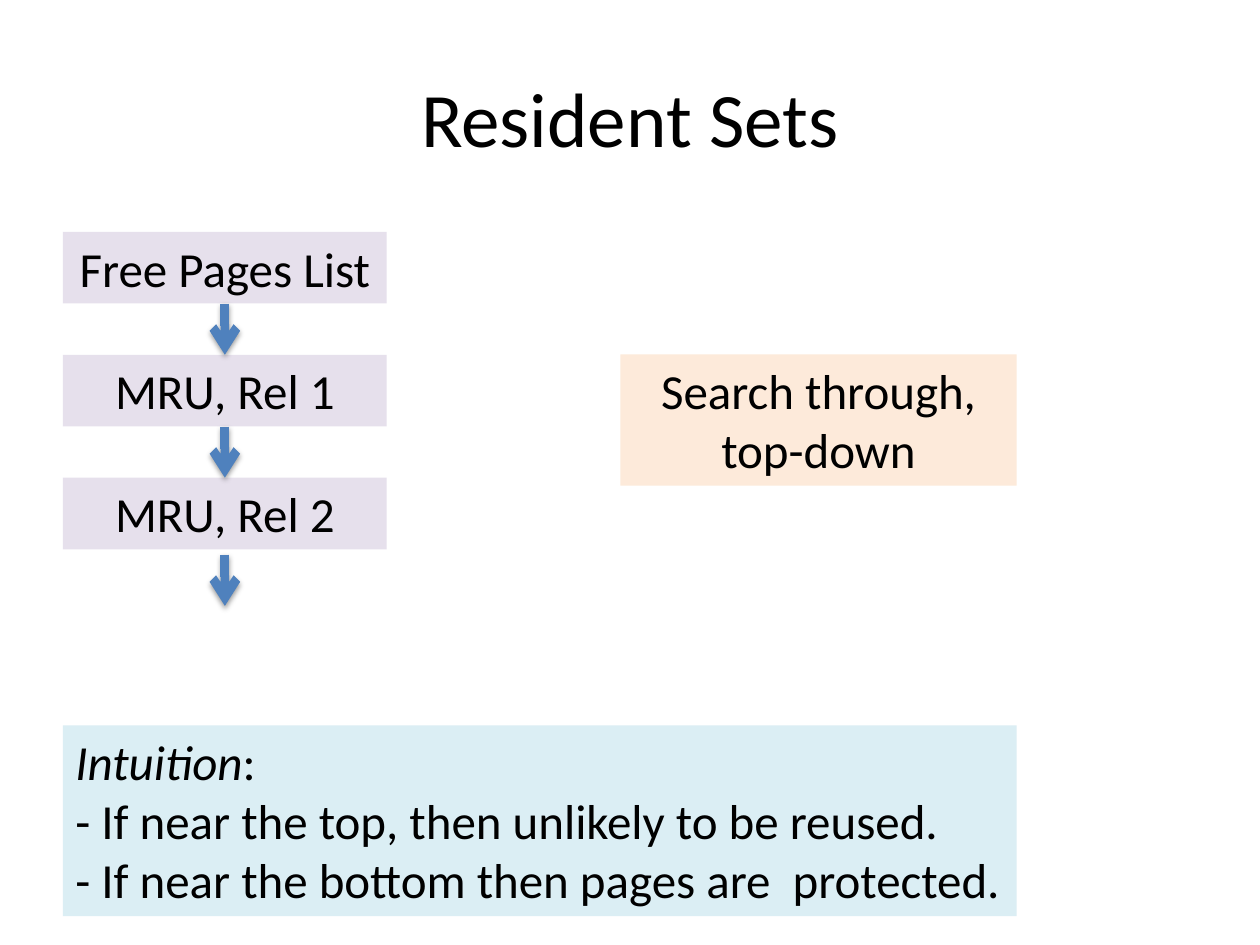
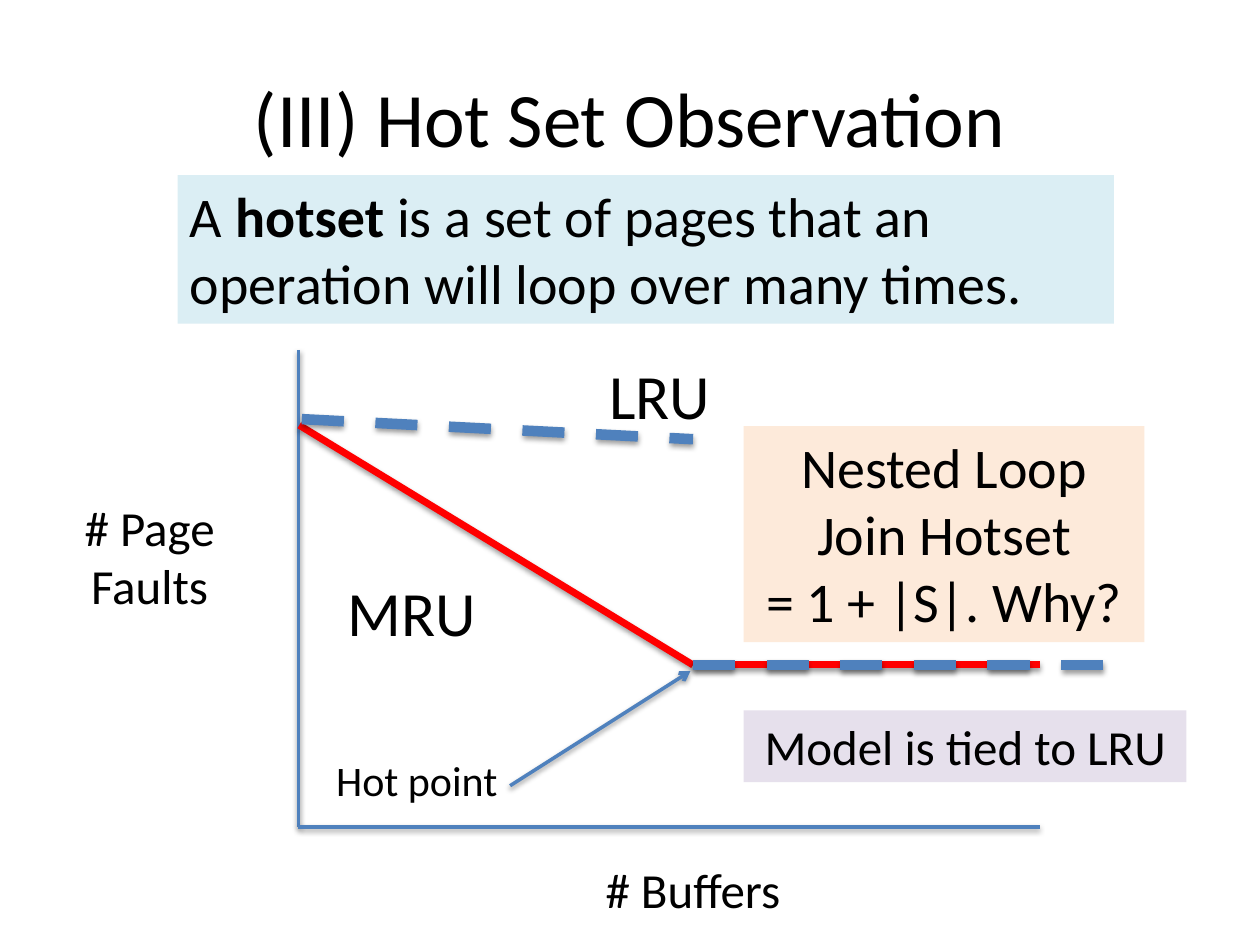
from collections import namedtuple

from lxml.etree import SubElement
from pptx import Presentation
from pptx.dml.color import RGBColor
from pptx.enum.dml import MSO_LINE
from pptx.enum.shapes import MSO_CONNECTOR, MSO_SHAPE
from pptx.enum.text import MSO_ANCHOR, PP_ALIGN
from pptx.oxml import parse_xml
from pptx.oxml.ns import nsdecls, qn
from pptx.util import Pt

BLACK = RGBColor(0x00, 0x00, 0x00)
BLUE = RGBColor(0x4F, 0x81, 0xBD)
RED = RGBColor(0xFF, 0x00, 0x00)
PALE_BLUE = RGBColor(0xDB, 0xEE, 0xF4)
PALE_PURPLE = RGBColor(0xE6, 0xE0, 0xEC)
PALE_ORANGE = RGBColor(0xFD, 0xEA, 0xDA)

FONT = "Calibri"
TITLE_ONLY = 5
TOP, BOTTOM = 0, 2  # connection sites of a rectangle
SHADOW = (
    f'<a:effectLst {nsdecls("a")}><a:outerShdw blurRad="{Pt(3.1)}" dist="{Pt(1.6)}" '
    'dir="5400000" rotWithShape="0"><a:srgbClr val="000000"><a:alpha val="38000"/>'
    '</a:srgbClr></a:outerShdw></a:effectLst>'
)

Box = namedtuple("Box", "left top width height")


# Shared parts
def set_all(target, values):
    for name, value in values.items():
        setattr(target, name, value)


def write(frame, paragraphs, size, align):
    """Each paragraph is a string or a list of (text, font values) runs."""
    for index, content in enumerate(paragraphs):
        paragraph = frame.paragraphs[0] if index == 0 else frame.add_paragraph()
        paragraph.alignment = align
        runs = [(content, {})] if isinstance(content, str) else content
        for text, emphasis in runs:
            run = paragraph.add_run()
            run.text = text
            set_all(run.font, {"name": FONT, "size": Pt(size), **emphasis})
            run.font.color.rgb = BLACK


def titled_slide(deck, heading):
    slide = deck.slides.add_slide(deck.slide_layouts[TITLE_ONLY])
    title = slide.shapes.title
    set_all(title, dict(left=Pt(36), top=Pt(21.6), width=Pt(648), height=Pt(90)))
    title.text_frame.vertical_anchor = MSO_ANCHOR.MIDDLE
    write(title.text_frame, [heading], 44, PP_ALIGN.CENTER)
    return slide


def label(slide, box, paragraphs, size=28, align=PP_ALIGN.CENTER):
    text = slide.shapes.add_textbox(*map(Pt, box))
    text.text_frame.word_wrap = True
    write(text.text_frame, paragraphs, size, align)


def panel(slide, box, fill, paragraphs, size=28, align=PP_ALIGN.CENTER):
    block = slide.shapes.add_shape(MSO_SHAPE.RECTANGLE, *map(Pt, box))
    block.shadow.inherit = False
    block.fill.solid()
    block.fill.fore_color.rgb = fill
    block.line.fill.background()
    set_all(block.text_frame, {"word_wrap": True, "vertical_anchor": MSO_ANCHOR.TOP})
    write(block.text_frame, paragraphs, size, align)
    return block


def stroke(slide, start, end, color, width, dashed=False, arrow=False):
    line = slide.shapes.add_connector(MSO_CONNECTOR.STRAIGHT, *map(Pt, (*start, *end)))
    line.line.color.rgb = color
    line.line.width = Pt(width)
    if dashed:
        line.line.dash_style = MSO_LINE.DASH
    properties = line._element.spPr
    if arrow:
        SubElement(properties.find(qn("a:ln")), qn("a:tailEnd"), type="arrow")
    properties.append(parse_xml(SHADOW))
    return line


# Slide 1: chain of page lists
def list_chain(slide, box, names, block_height=41):
    pitch = (box.height - block_height) / (len(names) - 1)
    gap = pitch - block_height
    blocks = [
        panel(slide, box._replace(top=box.top + row * pitch, height=block_height),
              PALE_PURPLE, [name])
        for row, name in enumerate(names)
    ]
    center = box.left + box.width / 2
    for row, block in enumerate(blocks):
        bottom = box.top + row * pitch + block_height
        last = row == len(blocks) - 1
        start = bottom + 3 if last else bottom
        arrow = stroke(slide, (center, start), (center, start + gap), BLUE, 5, arrow=True)
        if not last:
            arrow.begin_connect(block, BOTTOM)
            arrow.end_connect(blocks[row + 1], TOP)


def resident_sets(deck):
    slide = titled_slide(deck, "Resident Sets")
    panel(slide, Box(36, 414.5, 545, 109), PALE_BLUE, [
        [("Intuition", {"italic": True}), (":", {})],
        "- If near the top, then unlikely to be reused.",
        "- If near the bottom then pages are  protected.",
    ], align=PP_ALIGN.LEFT)
    list_chain(slide, Box(36, 132.5, 185, 181.5),
               ["Free Pages List", "MRU, Rel 1", "MRU, Rel 2"])
    panel(slide, Box(354.5, 202.5, 226.5, 75), PALE_ORANGE, ["Search through, top-down"])


# Slide 2: page faults against buffers
def fault_plot(slide, box):
    def at(x, y):
        return box.left + x, box.top + y

    def label_at(x, y, width, height, text, size=28, align=PP_ALIGN.CENTER):
        label(slide, Box(*at(x, y), width, height), [text], size, align)

    origin = at(0, box.height)
    hot_point = at(225.5, 180)

    # Axes
    stroke(slide, at(0, 0), origin, BLUE, 2)
    stroke(slide, at(box.width, box.height), origin, BLUE, 2)
    label_at(-147, 80.5, 124, 75, "# Page Faults")
    label_at(163.5, 287.5, 124, 41, "# Buffers")

    # MRU curve
    stroke(slide, at(0.5, 43), hot_point, RED, 4)
    stroke(slide, hot_point, at(box.width, 180), RED, 4)
    label_at(21, 124, 101, 51, "MRU", 36, PP_ALIGN.LEFT)

    # Hot point
    stroke(slide, at(121, 249), at(224, 183.5), BLUE, 2, arrow=True)
    label_at(14.5, 227.5, 110, 36, "Hot point", 24, PP_ALIGN.LEFT)

    # LRU curve
    label_at(152, 0, 109, 51, "LRU", 36)
    stroke(slide, at(2, 39.5), at(225.5, 51), BLUE, 6, dashed=True)
    stroke(slide, hot_point, at(466, 180), BLUE, 6, dashed=True)


def hot_set_observation(deck):
    slide = titled_slide(deck, "(III) Hot Set Observation")
    panel(slide, Box(101.5, 100, 535, 85), PALE_BLUE, [[
        ("A ", {}),
        ("hotset ", {"bold": True}),
        ("is a set of pages that an operation will loop over many times.", {}),
    ]], 32, PP_ALIGN.LEFT)
    fault_plot(slide, Box(170.5, 200, 423.5, 272.5))
    panel(slide, Box(425, 243.5, 229, 123.5), PALE_ORANGE,
          ["Nested Loop Join Hotset", "= 1 + |S|. Why?"], 32)
    panel(slide, Box(425, 406, 253, 41), PALE_PURPLE, ["Model is tied to LRU"])


def main():
    deck = Presentation()
    set_all(deck, {"slide_width": Pt(720), "slide_height": Pt(540)})
    resident_sets(deck)
    hot_set_observation(deck)
    deck.save("out.pptx")


if __name__ == "__main__":
    main()
